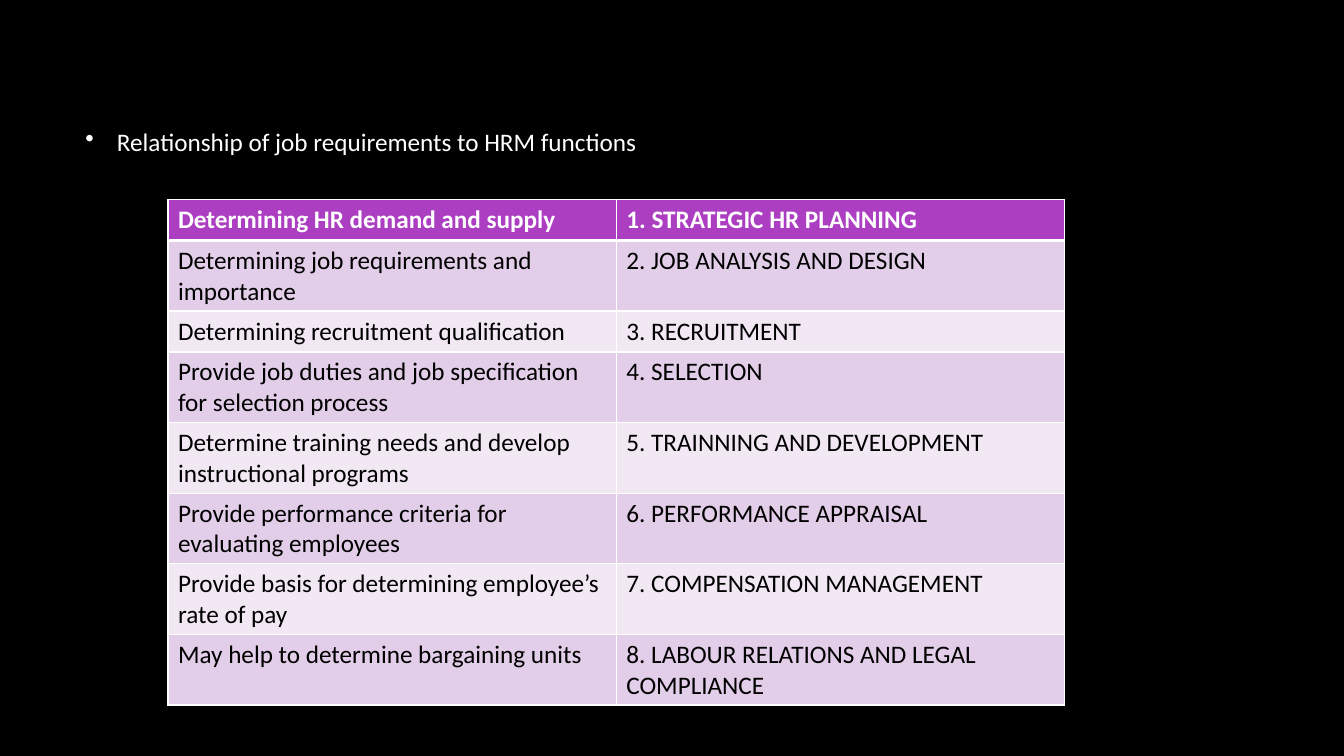
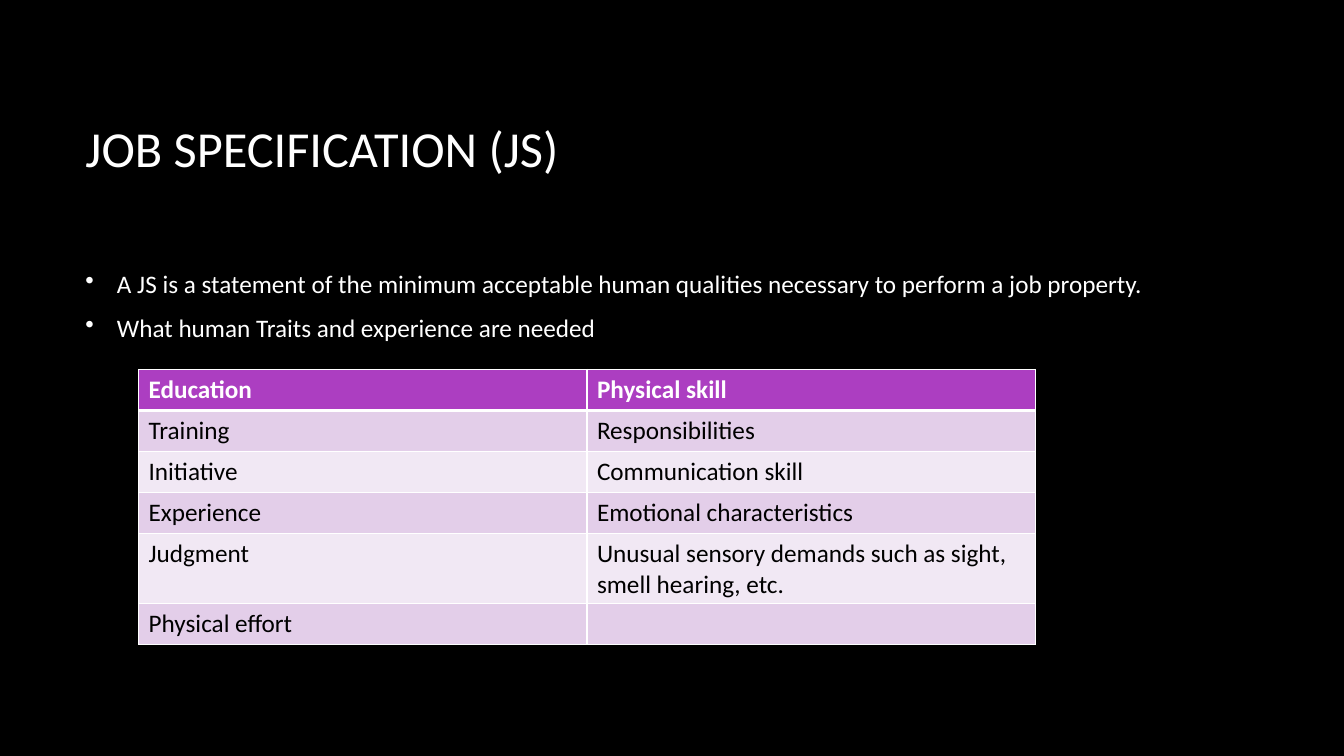
from lxml import etree
from pptx import Presentation
from pptx.dml.color import RGBColor
from pptx.enum.text import MSO_ANCHOR
from pptx.oxml.ns import qn
from pptx.util import Pt

TOP, MIDDLE = MSO_ANCHOR.TOP, MSO_ANCHOR.MIDDLE
PX = 9525  # EMU per px, 96 px to the inch
FONT = "Calibri"
COLORS = {
    "background": "000000",
    "light_text": "FFFFFF",
    "dark_text": "000000",
    "border": "FFFFFF",
    "header": "AC3EC1",
    "odd_row": "E3CEE9",
    "even_row": "F1E8F4",
}
CONTENT_LEFT, CONTENT_WIDTH = 72, 1064
ROW_HEIGHT = 39
BULLET_INDENT = 30

HRM_FUNCTIONS = [
    ("Determining HR demand and supply", "1. STRATEGIC HR PLANNING"),
    ("Determining job requirements and importance", "2. JOB ANALYSIS AND DESIGN"),
    ("Determining recruitment qualification", "3. RECRUITMENT"),
    ("Provide job duties and job specification for selection process", "4. SELECTION"),
    ("Determine training needs and develop instructional programs",
     "5. TRAINNING AND DEVELOPMENT"),
    ("Provide performance criteria for evaluating employees", "6. PERFORMANCE APPRAISAL"),
    ("Provide basis for determining employee’s rate of pay", "7. COMPENSATION MANAGEMENT"),
    ("May help to determine bargaining units", "8. LABOUR RELATIONS AND LEGAL COMPLIANCE"),
]
HUMAN_TRAITS = [
    ("Education", "Physical skill"),
    ("Training", "Responsibilities"),
    ("Initiative", "Communication skill"),
    ("Experience", "Emotional characteristics"),
    ("Judgment", "Unusual sensory demands such as sight, smell hearing, etc."),
    ("Physical effort", ""),
]


def px(*lengths):
    return [length * PX for length in lengths]


def color(name):
    return RGBColor.from_string(COLORS[name])


def write(frame, *lines, size=18, ink="light_text", bold=False, bullet=False, after=0):
    """Fill a text frame with one paragraph per line."""
    frame.word_wrap = True
    for i, line in enumerate(lines):
        paragraph = frame.add_paragraph() if i else frame.paragraphs[0]
        paragraph.space_after = Pt(after)
        paragraph.font.size = Pt(size)
        if bullet:
            props = paragraph._p.get_or_add_pPr()
            indent = BULLET_INDENT * PX
            props.set("marL", str(indent))
            props.set("indent", str(-indent))
            mark = etree.Element(qn("a:buChar"), char="•")
            props.insert_element_before(mark, "a:tabLst", "a:defRPr", "a:extLst")
        if line:
            run = paragraph.add_run()
            run.text = line
            run.font.name, run.font.size, run.font.bold = FONT, Pt(size), bold
            run.font.color.rgb = color(ink)


def add_text(slide, box, *lines, anchor=TOP, **style):
    frame = slide.shapes.add_textbox(*px(*box)).text_frame
    frame.vertical_anchor = anchor
    write(frame, *lines, **style)


def set_borders(cell, **widths):
    """Draw the cell's edges; lines precede the fill in the cell properties."""
    props = cell._tc.get_or_add_tcPr()
    for i, side in enumerate("LRTB"):
        line = etree.Element(qn(f"a:ln{side}"), w=str(Pt(widths.get(side, 1))))
        fill = etree.SubElement(line, qn("a:solidFill"))
        etree.SubElement(fill, qn("a:srgbClr"), val=COLORS["border"])
        props.insert(i, line)


def add_banded_table(slide, left, top, rows, column_width=427):
    columns = len(rows[0])
    box = px(left, top, column_width * columns, ROW_HEIGHT * len(rows))
    table = slide.shapes.add_table(len(rows), columns, *box).table
    table.horz_banding = False
    for r, row in enumerate(rows):
        header = r == 0
        band = "header" if header else "odd_row" if r % 2 else "even_row"
        for c, text in enumerate(row):
            cell = table.cell(r, c)
            cell.fill.solid()
            cell.fill.fore_color.rgb = color(band)
            set_borders(cell, T=3 if r == 1 else 1, B=3 if header else 1)
            write(cell.text_frame, text, bold=header,
                  ink="light_text" if header else "dark_text")


def add_content_slide(prs, points, points_top, rows, table_at, title=None):
    """Optional title, bullet points and a two-column table."""
    slide = prs.slides.add_slide(prs.slide_layouts[6])
    if title:
        add_text(slide, (CONTENT_LEFT, 64, CONTENT_WIDTH, 153), title,
                 size=36, anchor=MIDDLE)
    points_box = (CONTENT_LEFT, points_top, CONTENT_WIDTH, 42 * len(points))
    add_text(slide, points_box, *points, bullet=True, after=10)
    add_banded_table(slide, *table_at, rows)


def main():
    prs = Presentation()
    prs.slide_width, prs.slide_height = px(1280, 720)

    # Shared background
    backdrop = prs.slide_master.background.fill
    backdrop.solid()
    backdrop.fore_color.rgb = color("background")

    # Job requirements and HRM functions
    add_content_slide(prs, ["Relationship of job requirements to HRM functions"], 116,
                      HRM_FUNCTIONS, (160, 190))

    # Job specification
    add_content_slide(
        prs,
        ["A JS is a statement of the minimum acceptable human qualities necessary "
         "to perform a job property.",
         "What human Traits and experience are needed"],
        251, HUMAN_TRAITS, (132, 352), title="JOB SPECIFICATION (JS)")

    prs.save("out.pptx")


if __name__ == "__main__":
    main()
